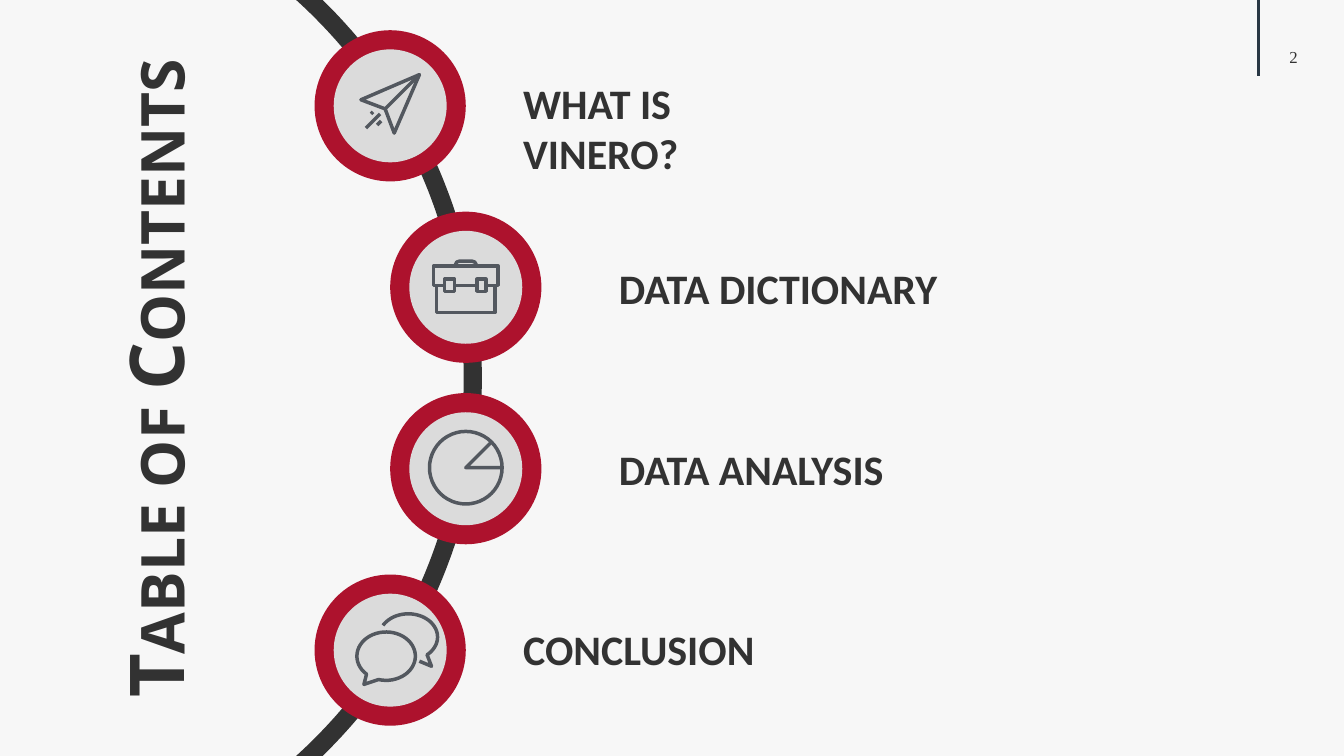
"""Build a table of contents slide with four icon discs along an arc."""
from math import cos, radians, sin, sqrt

from lxml import etree
from pptx import Presentation
from pptx.dml.color import RGBColor
from pptx.enum.shapes import MSO_CONNECTOR, MSO_SHAPE
from pptx.enum.text import MSO_ANCHOR, PP_ALIGN
from pptx.oxml.ns import qn
from pptx.util import Inches, Pt

OVAL = MSO_SHAPE.OVAL
STRAIGHT = MSO_CONNECTOR.STRAIGHT
MIDDLE = MSO_ANCHOR.MIDDLE
CENTER = PP_ALIGN.CENTER

PAPER = RGBColor(0xF7, 0xF7, 0xF7)
DARK = RGBColor(0x32, 0x32, 0x32)
RED = RGBColor(0xAD, 0x12, 0x2D)
GRAY = RGBColor(0xDB, 0xDB, 0xDB)
SLATE = RGBColor(0x53, 0x58, 0x5F)
NAVY = RGBColor(0x29, 0x37, 0x44)


def arc(x, y, wide, high, start, end):
    """Return points along an ellipse between two angles in degrees."""
    count = 48
    turns = [radians(start + (end - start) * i / count) for i in range(count + 1)]
    return [(x + wide * cos(t), y + high * sin(t)) for t in turns]


def box(left, top, right, low):
    """Return the corners of a rectangle."""
    return [(left, top), (right, top), (right, low), (left, low)]


TITLE = "Table of Contents"
PAGE = "2"

PLANE = [
    ([(3.58, 0.99), (4.16, 0.74), (3.91, 1.32), (3.82, 1.08)], True),
    ([(3.82, 1.08), (4.16, 0.74)], False),
    ([(3.63, 1.27), (3.77, 1.13)], False),
    ([(3.74, 1.24), (3.78, 1.2)], False),
    ([(3.68, 1.13), (3.7, 1.11)], False),
]
CASE = [
    ([(4.41, 2.83), (4.3, 2.83), (4.3, 2.64), (4.94, 2.64), (4.94, 2.83),
      (4.82, 2.83)], False),
    ([(4.51, 2.83), (4.73, 2.83)], False),
    ([(4.33, 2.83), (4.33, 3.1), (4.91, 3.1), (4.91, 2.83)], False),
    (box(4.41, 2.77, 4.51, 2.89), True),
    (box(4.73, 2.77, 4.82, 2.89), True),
    ([(4.51, 2.64), (4.53, 2.6), (4.56, 2.59), (4.68, 2.59), (4.71, 2.6),
      (4.73, 2.64)], False),
]
PIE = [
    (arc(4.62, 4.64, 0.36, 0.36, 0, 360), True),
    ([(4.87, 4.39), (4.62, 4.64), (4.98, 4.64)], False),
]
CHAT = [
    (arc(3.83, 6.51, 0.29, 0.24, 132, 465) + [(3.61, 6.79)], True),
    (arc(4.05, 6.32, 0.29, 0.23, 210, 410) + [(4.28, 6.61), (4.16, 6.56)], False),
]

ITEMS = [
    ("WHAT IS VINERO?", 3.12, 5.09, 0.72, 3.23, PLANE),
    ("DATA DICTIONARY", 3.87, 6.04, 2.56, 3.62, CASE),
    ("DATA ANALYSIS", 3.87, 6.04, 4.35, 3.86, PIE),
    ("CONCLUSION", 3.12, 5.09, 6.14, 3.23, CHAT),
]
TOP, STEP, DISC, RIM = 0.3, 1.8, 1.5, 0.19

BANDS = [(-0.01, 0.55), (1.53, 2.27), (3.45, 4.05), (5.23, 5.97), (6.95, 7.51)]
HUB_X, HUB_Y, INNER, OUTER = -0.46, 3.75, 5.06, 5.24


def edge(radius, start, end):
    """Return points on the large arc between two heights."""
    count = 16
    rows = [start + (end - start) * i / count for i in range(count + 1)]
    return [(HUB_X + sqrt(radius ** 2 - (y - HUB_Y) ** 2), y) for y in rows]


def trace(shapes, parts):
    """Draw one freeform from open and closed outlines."""
    pen = None
    for points, close in parts:
        spots = [(Inches(x), Inches(y)) for x, y in points]
        if pen is None:
            pen = shapes.build_freeform(*spots[0])
        else:
            pen.move_to(*spots[0])
        pen.add_line_segments(spots[1:], close=close)
    shape = pen.convert_to_shape()
    shape.shadow.inherit = False
    return shape


def paint(shape, color):
    """Fill a shape flat, without a line."""
    shape.shadow.inherit = False
    shape.fill.solid()
    shape.fill.fore_color.rgb = color
    shape.line.fill.background()


def disc(shapes, left, top, size, color):
    """Add a plain circle."""
    spot = [Inches(n) for n in (left, top, size, size)]
    paint(shapes.add_shape(OVAL, *spot), color)


def write(shape, text, size, face, bold):
    """Set the text of a shape and format its run."""
    frame = shape.text_frame
    frame.text = text
    frame.word_wrap = True
    font = frame.paragraphs[0].runs[0].font
    font.size, font.name, font.bold = Pt(size), face, bold
    font.color.rgb = DARK
    return frame


def main():
    """Build and save the slide."""
    deck = Presentation()
    deck.slide_width, deck.slide_height = Inches(13.33), Inches(7.5)
    slide = deck.slides.add_slide(deck.slide_layouts[5])
    slide.background.fill.solid()
    slide.background.fill.fore_color.rgb = PAPER
    shapes = slide.shapes

    rule = shapes.add_connector(STRAIGHT, Inches(12.48), 0, Inches(12.48), Inches(0.75))
    rule.line.color.rgb, rule.line.width = NAVY, Pt(2.25)
    etree.SubElement(rule._element.spPr, qn("a:effectLst"))

    page = shapes.add_textbox(Inches(12.43), Inches(0.46), Inches(0.8), Inches(0.2))
    frame = write(page, PAGE, 12, "Times New Roman", False)
    frame.margin_top = frame.margin_bottom = 0
    frame.paragraphs[0].alignment = CENTER

    title = shapes.title
    title.left, title.top = Inches(-1.81), Inches(3.03)
    title.width, title.height = Inches(6.68), Inches(1.45)
    title.rotation = 270
    frame = write(title, TITLE, 54, "Open Sans", True)
    frame.vertical_anchor = MIDDLE
    frame.paragraphs[0].alignment = CENTER
    frame.paragraphs[0].runs[0].font._element.set("cap", "small")

    for start, end in BANDS:
        ring = edge(OUTER, start, end) + edge(INNER, end, start)
        paint(trace(shapes, [(ring, True)]), DARK)

    for i, (text, left, x, y, width, icon) in enumerate(ITEMS):
        top = TOP + i * STEP
        disc(shapes, left, top, DISC, RED)
        disc(shapes, left + RIM, top + RIM, DISC - 2 * RIM, GRAY)
        sign = trace(shapes, icon)
        sign.fill.background()
        sign.line.color.rgb, sign.line.width = SLATE, Pt(2.5)
        label = shapes.add_textbox(Inches(x), Inches(y), Inches(width), Inches(0.61))
        write(label, text, 30, "Calibri", True)

    deck.save("out.pptx")


if __name__ == "__main__":
    main()
